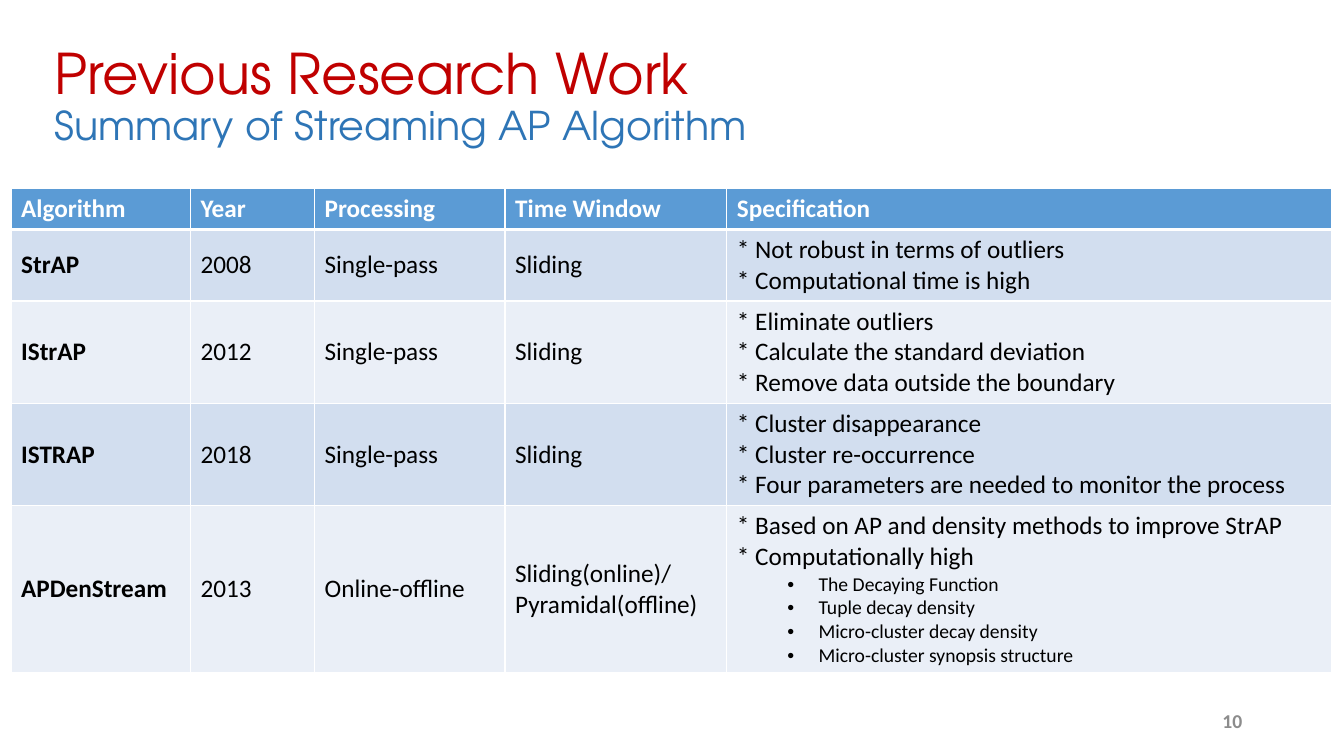
from pptx import Presentation
from pptx.dml.color import RGBColor as RGB
from pptx.enum.text import MSO_ANCHOR as Anchor, MSO_AUTO_SIZE as Fit, PP_ALIGN as Align
from pptx.oxml.ns import qn
from pptx.util import Inches, Pt
from lxml.etree import SubElement as Sub

HUES = {
    "white": "FFFFFF", "black": "000000", "head": "5B9BD5", "dark": "D2DEEF",
    "light": "EAEFF7", "red": "C00000", "blue": "2E75B6", "grey": "8C8C8C",
}
BODY, SHOW = "Calibri", "TeX Gyre Adventor"

COLS = [1.78, 1.23, 1.89, 2.2, 6]
ROWS = [0.4, 0.7, 1.01, 1.01, 1.62]
HEAD = ["Algorithm", "Year", "Processing", "Time Window", "Specification"]
# Lines that start with a bullet become indented sub-points
DATA = [
    ["StrAP", "2008", "Single-pass", "Sliding",
     "* Not robust in terms of outliers\n* Computational time is high"],
    ["IStrAP", "2012", "Single-pass", "Sliding",
     "* Eliminate outliers\n* Calculate the standard deviation\n"
     "* Remove data outside the boundary"],
    ["ISTRAP", "2018", "Single-pass", "Sliding",
     "* Cluster disappearance\n* Cluster re-occurrence\n"
     "* Four parameters are needed to monitor the process"],
    ["APDenStream", "2013", "Online-offline", "Sliding(online)/\nPyramidal(offline)",
     "* Based on AP and density methods to improve StrAP\n* Computationally high\n"
     "•The Decaying Function\n•Tuple decay density\n"
     "•Micro-cluster decay density\n•Micro-cluster synopsis structure"],
]


def write(para, text, size=18, hue="black", bold=False, face=BODY, align=Align.LEFT):
    """Add one formatted run to a paragraph."""
    para.alignment = align
    run = para.add_run()
    run.text = text
    font = run.font
    font.size, font.bold, font.name = Pt(size), bold, face
    font.color.rgb = RGB.from_string(HUES[hue])


def bullet(para):
    """Indent a sub-point and give it a bullet."""
    para.level = 1
    props = para._p.get_or_add_pPr()
    props.set("marL", str(Inches(0.81)))
    props.set("indent", str(Inches(-0.31)))
    Sub(props, qn("a:buFont"), typeface="Arial")
    Sub(props, qn("a:buChar"), char="•")


def edge(cell, side, width):
    """Draw one white cell border."""
    line = Sub(cell._tc.get_or_add_tcPr(), qn("a:ln" + side), w=str(Pt(width)))
    Sub(Sub(line, qn("a:solidFill")), qn("a:srgbClr"), val=HUES["white"])


def fill(cell, text, row, col):
    """Style one table cell and write its lines."""
    for side in "LRTB":
        thick = (row, side) in [(0, "B"), (1, "T")]
        edge(cell, side, 3 if thick else 1)
    cell.fill.solid()
    tone = "head" if row == 0 else "dark" if row % 2 else "light"
    cell.fill.fore_color.rgb = RGB.from_string(HUES[tone])
    cell.vertical_anchor = Anchor.MIDDLE
    frame = cell.text_frame
    for num, line in enumerate(text.split("\n")):
        para = frame.add_paragraph() if num else frame.paragraphs[0]
        sub = line.startswith("•")
        if sub:
            bullet(para)
        write(para, line.lstrip("•"), size=14 if sub else 18,
              hue="black" if row else "white", bold=row == 0 or col == 0)


def place(shape, box):
    shape.left, shape.top, shape.width, shape.height = map(Inches, box)


def title(slide, box):
    """Heading with a smaller second line."""
    shape = slide.shapes.title
    place(shape, box)
    frame = shape.text_frame
    frame.word_wrap, frame.auto_size = True, Fit.NONE
    frame.vertical_anchor = Anchor.MIDDLE
    para = frame.paragraphs[0]
    para.line_spacing = 0.9
    write(para, "Previous Research Work", size=40, hue="red", face=SHOW)
    para.add_line_break()
    write(para, "Summary of Streaming AP Algorithm", size=28.3, hue="blue", face=SHOW)


def grid(slide, left, top):
    """Table that compares the algorithms."""
    cells = [HEAD] + DATA
    box = map(Inches, (left, top, sum(COLS), sum(ROWS)))
    table = slide.shapes.add_table(len(ROWS), len(COLS), *box).table
    for col, width in zip(table.columns, COLS):
        col.width = Inches(width)
    for row, high in zip(table.rows, ROWS):
        row.height = Inches(high)
    for row, texts in enumerate(cells):
        for col, text in enumerate(texts):
            fill(table.cell(row, col), text, row, col)


def number(slide, box):
    """Page number at the lower right."""
    frame = slide.shapes.add_textbox(*map(Inches, box)).text_frame
    frame.word_wrap = True
    frame.vertical_anchor = Anchor.MIDDLE
    write(frame.paragraphs[0], "10", size=14, hue="grey", bold=True, align=Align.RIGHT)


def main():
    deck = Presentation()
    deck.slide_width, deck.slide_height = Inches(13.33), Inches(7.5)
    slide = deck.slides.add_slide(deck.slide_layouts[5])
    title(slide, (0.44, 0.24, 11.5, 1.45))
    grid(slide, 0.11, 1.87)
    number(slide, (9.42, 6.95, 3, 0.4))
    deck.save("out.pptx")


if __name__ == "__main__":
    main()
